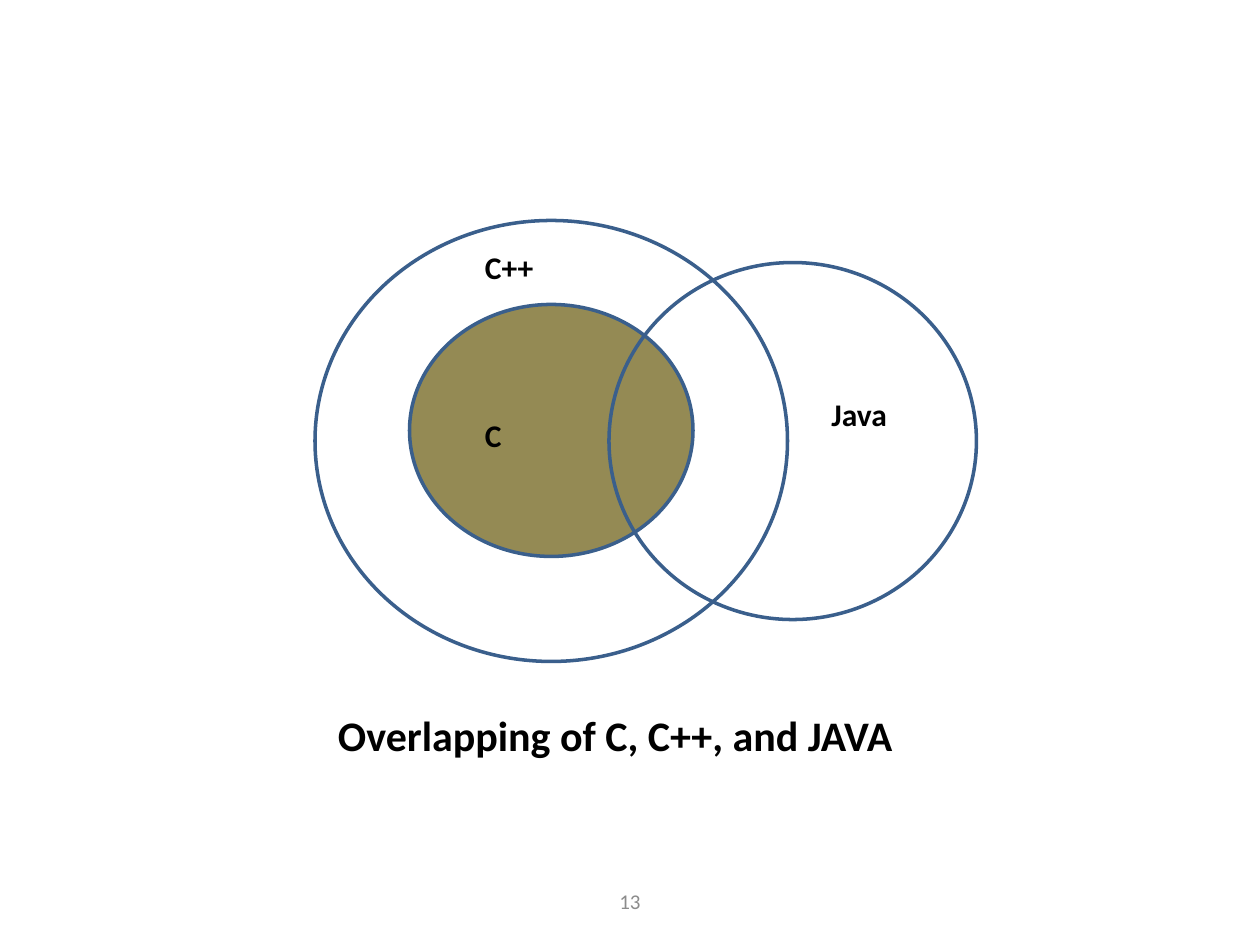
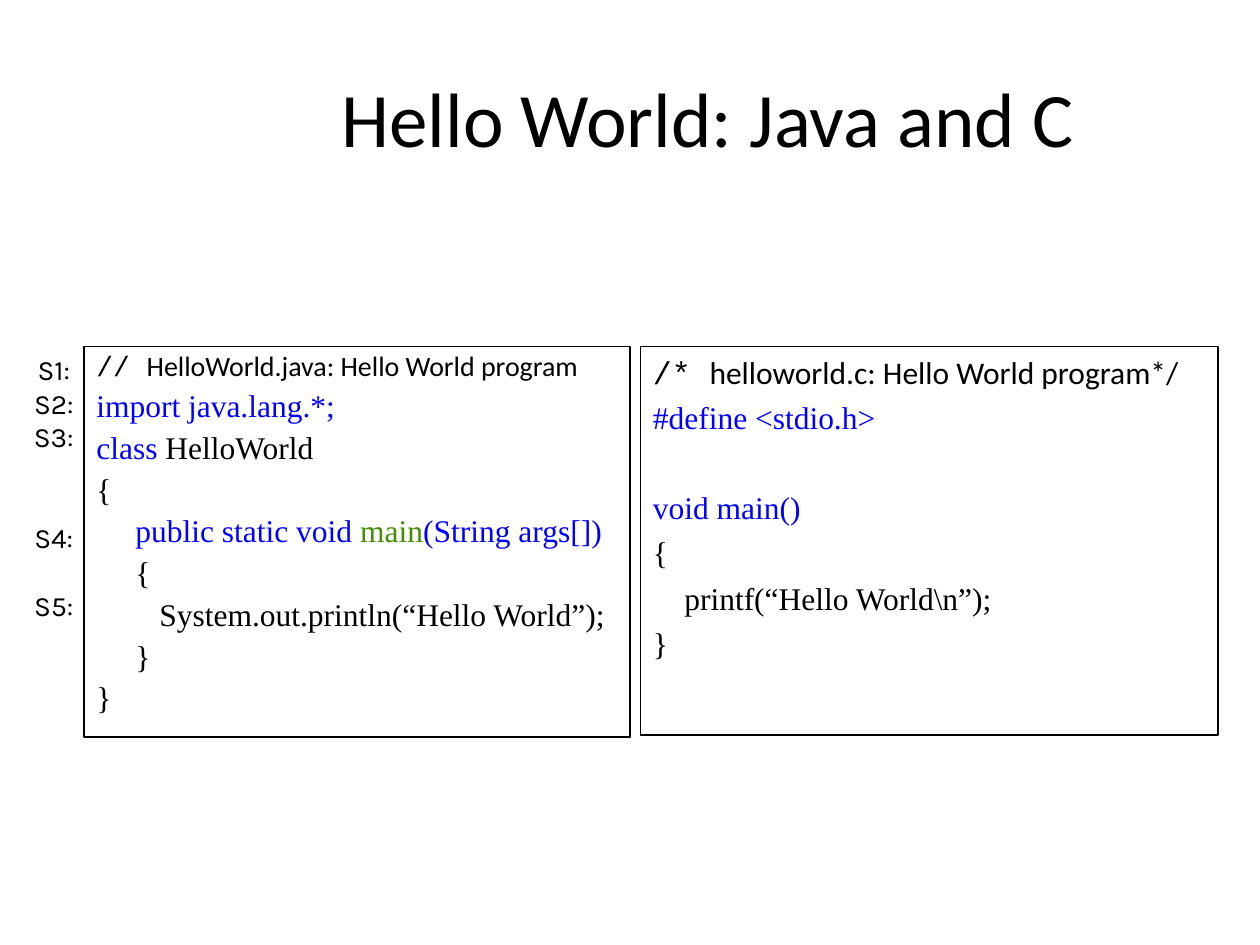
"""Builds two slides that compare C, C++ and Java."""
import dataclasses

import pptx
import pptx.dml.color
import pptx.enum.shapes
import pptx.enum.text
import pptx.util

ALIGN = pptx.enum.text.PP_ALIGN
ANCHOR = pptx.enum.text.MSO_ANCHOR
SHAPE = pptx.enum.shapes.MSO_SHAPE


@dataclasses.dataclass(frozen=True)
class Theme:
    body_font: str = "Calibri"
    comment_font: str = "Courier New"
    code_font: str = "Times New Roman"
    label_font: str = "Karla"
    ink: str = "000000"
    muted: str = "8C8C8C"
    outline: str = "3A5F8C"
    olive: str = "948A54"
    keyword: str = "0000FF"
    method: str = "438E00"
    title_size: int = 44
    caption_size: int = 24
    text_size: int = 18
    small_size: int = 16
    footer_size: int = 12
    code_gap: float = 4.4


class SlideBuilder:
    COLUMNS, ROWS = 120, 90

    def __init__(self, theme):
        self.theme = theme
        self.deck = pptx.Presentation()
        self.deck.slide_width = pptx.util.Inches(10)
        self.deck.slide_height = pptx.util.Inches(7.5)
        self.page = None

    def new_page(self):
        self.page = self.deck.slides.add_slide(self.deck.slide_layouts[6])

    def place(self, column, row, columns, rows):
        across = self.deck.slide_width / self.COLUMNS
        down = self.deck.slide_height / self.ROWS
        return [round(n) for n in (column * across, row * down, columns * across, rows * down)]

    def style(self, font, size=None, color=None, name=None, bold=None):
        if size:
            font.size = pptx.util.Pt(size)
        if color:
            font.color.rgb = pptx.dml.color.RGBColor.from_string(color)
        if name:
            font.name = name
        if bold:
            font.bold = True

    def outline(self, kind, area, color, width, fill=None):
        shape = self.page.shapes.add_shape(kind, *self.place(*area))
        shape.shadow.inherit = False
        shape.line.color.rgb = pptx.dml.color.RGBColor.from_string(color)
        shape.line.width = pptx.util.Pt(width)
        if fill:
            shape.fill.solid()
            shape.fill.fore_color.rgb = pptx.dml.color.RGBColor.from_string(fill)
        else:
            shape.fill.background()
        return shape

    def circle(self, area, fill=None):
        self.outline(SHAPE.OVAL, area, self.theme.outline, 2, fill)

    def text(self, words, area, size, color=None, bold=False, align=ALIGN.LEFT, anchor=ANCHOR.TOP):
        box = self.page.shapes.add_textbox(*self.place(*area))
        frame = box.text_frame
        frame.word_wrap = True
        frame.vertical_anchor = anchor
        para = frame.paragraphs[0]
        para.text = words
        para.alignment = align
        self.style(para.font, size, color or self.theme.ink, self.theme.body_font, bold)
        return box

    def title(self, words, left_margin):
        box = self.text(words, (6, 3.6, 108, 15), self.theme.title_size,
                        align=ALIGN.CENTER, anchor=ANCHOR.MIDDLE)
        box.text_frame.margin_left = pptx.util.Inches(left_margin)

    def page_number(self, number):
        self.text(str(number), (41, 83.4, 38, 4.8), self.theme.footer_size,
                  self.theme.muted, align=ALIGN.CENTER, anchor=ANCHOR.MIDDLE)

    def step_labels(self, area, steps, line_height):
        """Stacks labels; each step is its name and the lines skipped above it."""
        frame = self.page.shapes.add_textbox(*self.place(*area)).text_frame
        frame.word_wrap = False
        for index, (name, skipped) in enumerate(steps):
            para = frame.add_paragraph() if index else frame.paragraphs[0]
            para.text = name
            para.alignment = ALIGN.CENTER
            para.space_before = pptx.util.Pt(skipped * line_height)
            self.style(para.font, self.theme.small_size, self.theme.ink, self.theme.label_font)

    def code(self, area, comment, lines, comment_size, line_spacing=1.0):
        """Frames a listing; each line is its indent, extra gap and coloured spans."""
        theme = self.theme
        frame = self.outline(SHAPE.RECTANGLE, area, theme.ink, 1).text_frame
        frame.word_wrap = True
        frame.vertical_anchor = ANCHOR.TOP
        para = frame.paragraphs[0]
        self.style(para.font, comment_size, theme.ink)
        self.code_line(para, line_spacing)
        for words, font_name in zip(comment, (theme.comment_font, theme.body_font)):
            span = para.add_run()
            span.text = words
            self.style(span.font, comment_size, theme.ink, font_name)
        for indent, gap, spans in lines:
            para = frame.add_paragraph()
            self.code_line(para, line_spacing, indent, gap)
            self.style(para.font, theme.text_size, name=theme.code_font)
            for words, color in spans:
                span = para.add_run()
                span.text = words
                self.style(span.font, color=color)

    def code_line(self, para, line_spacing, indent=0, gap=0):
        para.alignment = ALIGN.LEFT
        para.line_spacing = line_spacing
        para.space_before = pptx.util.Pt(self.theme.code_gap + gap)
        para._p.get_or_add_pPr().set("marL", str(pptx.util.Inches(indent)))


def overlap_slide(slides):
    theme = slides.theme
    slides.new_page()
    slides.page_number(13)
    slides.circle((39, 29, 27, 24), theme.olive)
    slides.circle((30, 21, 45, 42))
    slides.circle((58, 25, 35, 34))
    for words, area in (("Java", (78, 37, 12, 4.8)), ("C++", (45, 23, 13, 4.8)),
                        ("C", (45, 39, 7, 5))):
        slides.text(words, area, theme.text_size, bold=True)
    slides.text("Overlapping of C, C++, and JAVA", (31, 67, 65, 6.1),
                theme.caption_size, bold=True)


def hello_slide(slides):
    theme = slides.theme
    ink, keyword = theme.ink, theme.keyword
    slides.new_page()
    slides.title("Hello World: Java and C", 1.34)
    java_lines = [
        (0, 0, [("import java.lang.*;", keyword)]),
        (0, 0, [("class ", keyword), ("HelloWorld", ink)]),
        (0, 0, [("{", ink)]),
        (0.31, 0, [("public static void ", keyword), ("main", theme.method),
                   ("(String args[])", keyword)]),
        (0.31, 0, [("{", ink)]),
        (0.5, 0, [("System.out.println(“Hello World”);", ink)]),
        (0.31, 0, [("}", ink)]),
        (0, 0, [("}", ink)]),
    ]
    slides.code((8, 33, 52, 37.2), ("// ", "HelloWorld.java: Hello World program"),
                java_lines, theme.small_size, 0.9)
    c_lines = [
        (0, 0, [("#define <stdio.h>", keyword)]),
        (0, 25.1, [("void main()", keyword)]),
        (0, 0, [("{", ink)]),
        (0.25, 0, [("printf(“Hello World\\n”);", ink)]),
        (0, 0, [("}", ink)]),
    ]
    slides.code((61, 33, 55, 37), ("/* ", "helloworld.c: Hello World program*/"),
                c_lines, theme.text_size)
    steps = [("S1:", 0), ("S2:", 0), ("S3:", 0), ("S4:", 2), ("S5:", 1)]
    slides.step_labels((2, 33, 6.24, 33.24), steps, 19.25)


def main():
    slides = SlideBuilder(Theme())
    overlap_slide(slides)
    hello_slide(slides)
    slides.deck.save("out.pptx")


main()
